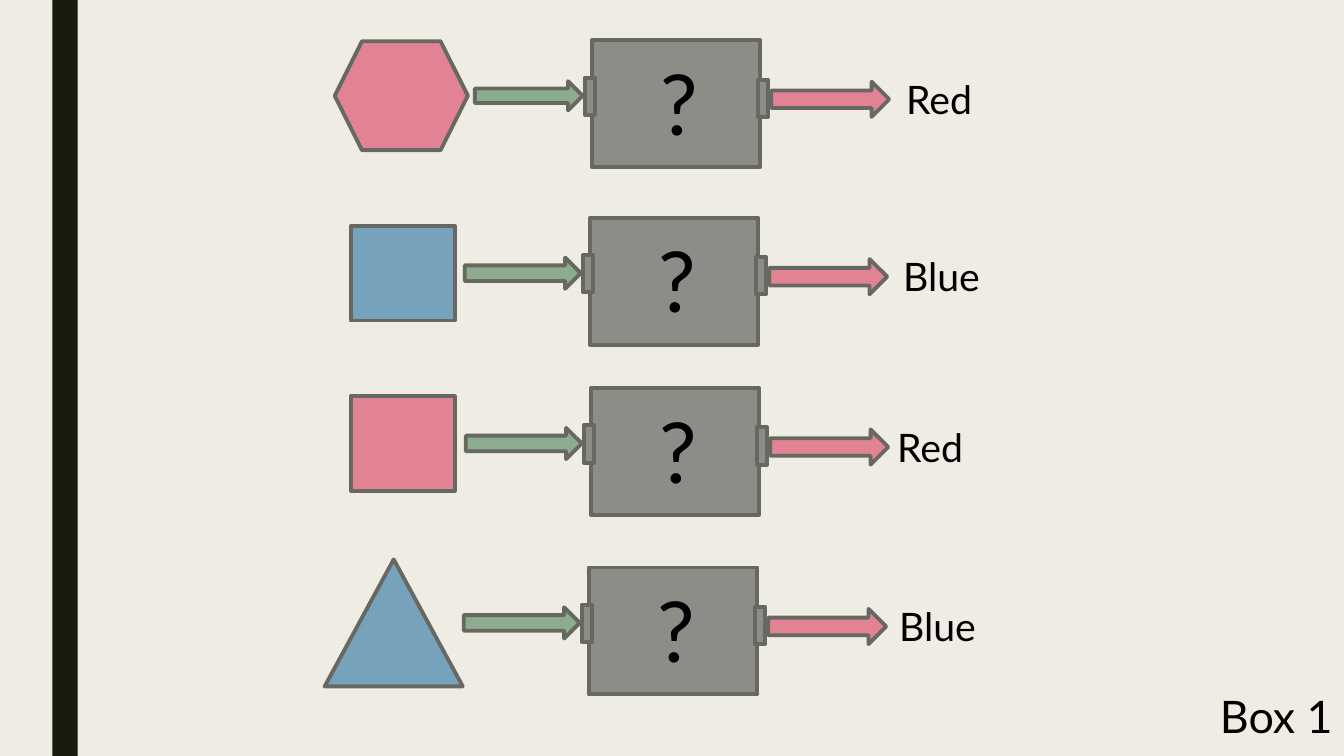
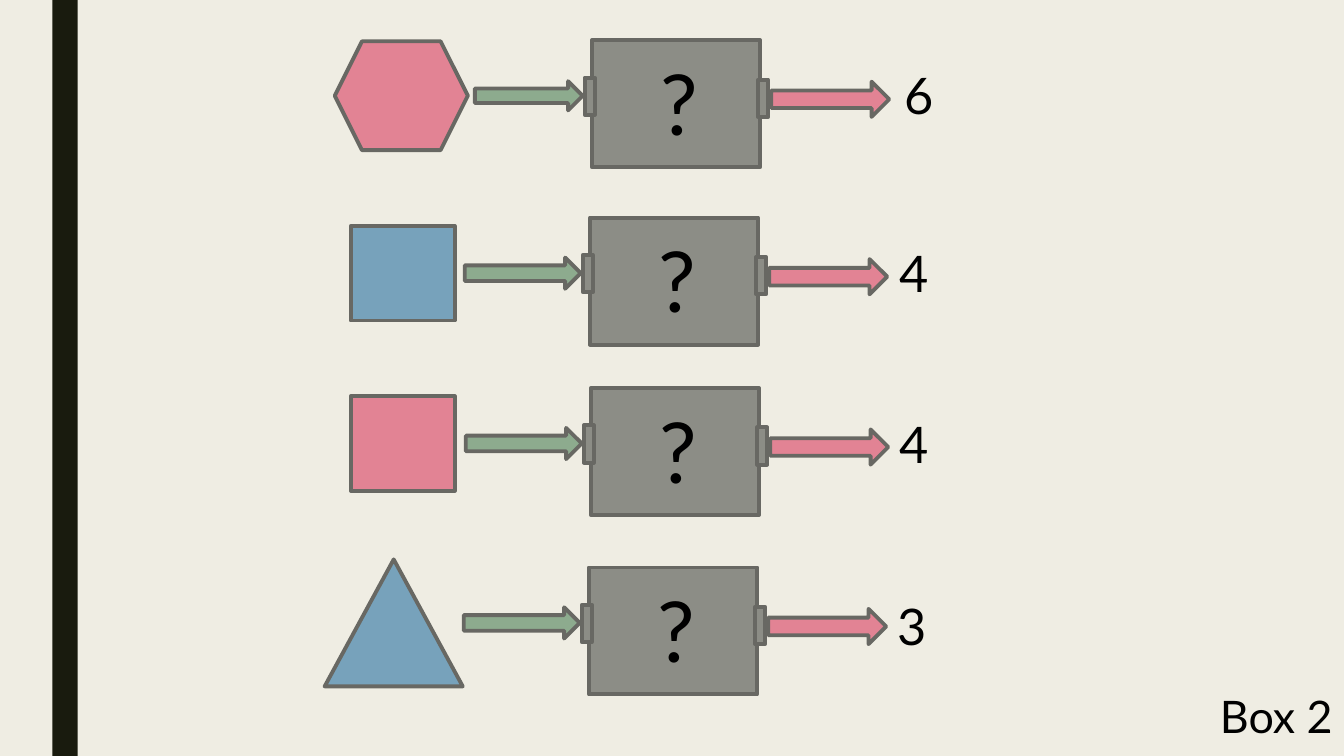
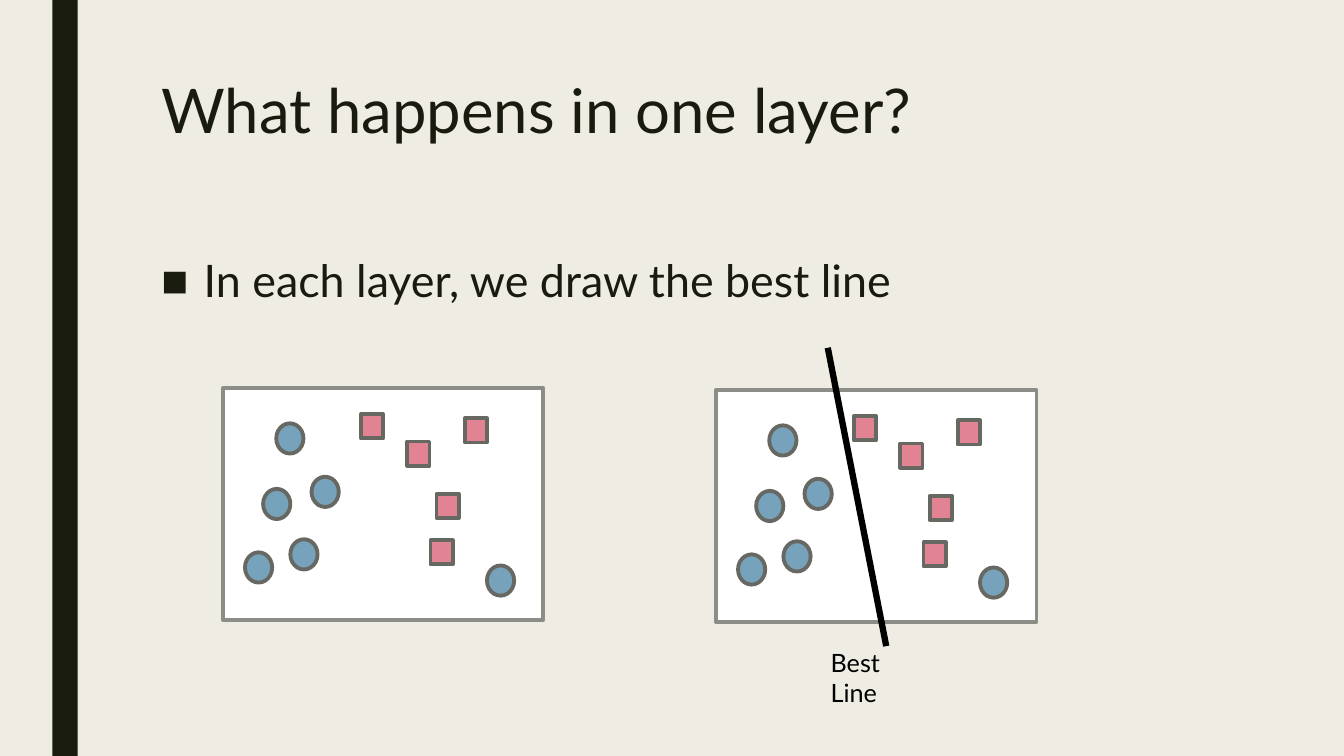
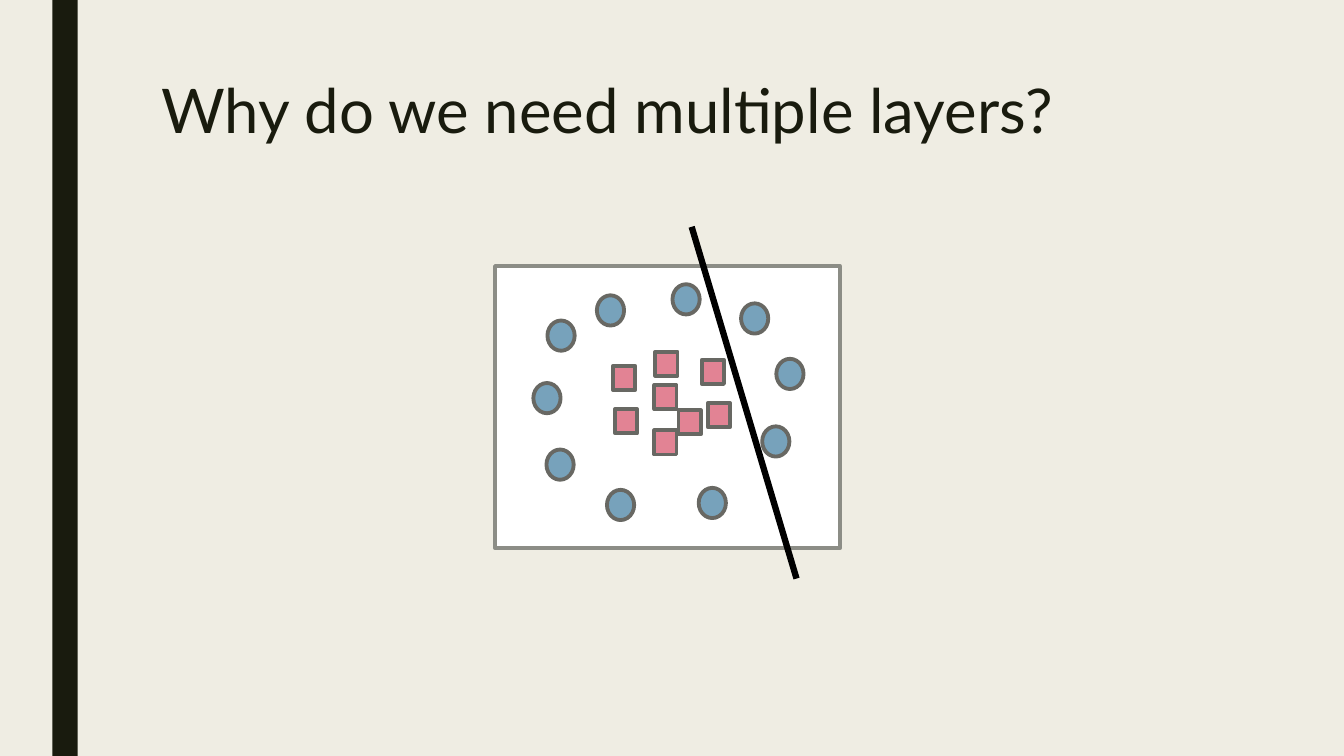
from lxml import etree
from pptx import Presentation
from pptx.dml.color import RGBColor
from pptx.enum.shapes import MSO_CONNECTOR, MSO_SHAPE
from pptx.enum.text import MSO_ANCHOR, MSO_AUTO_SIZE, PP_ALIGN
from pptx.oxml.ns import qn
from pptx.util import Inches, Pt

RECTANGLE = MSO_SHAPE.RECTANGLE
OVAL = MSO_SHAPE.OVAL
HEXAGON = MSO_SHAPE.HEXAGON
TRIANGLE = MSO_SHAPE.ISOSCELES_TRIANGLE
ARROW = MSO_SHAPE.RIGHT_ARROW
STRAIGHT = MSO_CONNECTOR.STRAIGHT
TOP = MSO_ANCHOR.TOP
LEFT = PP_ALIGN.LEFT
FIT_SHAPE, NO_FIT = MSO_AUTO_SIZE.SHAPE_TO_FIT_TEXT, MSO_AUTO_SIZE.NONE

FONT = "Lato"
CREAM, DARK, BLACK, WHITE = "EFEDE3", "191B0E", "000000", "FFFFFF"
GRAY, OUTLINE = "8C8D86", "686863"
RED, BLUE, GREEN = "E28394", "77A2BB", "8DAB8E"

TITLE_ONLY, TITLE_AND_BODY, BLANK = 5, 1, 6

# Each row: input shape, its colour and place; box corner; input arrow size
ROWS = [
    (HEXAGON, RED, (3.32, 0.41, 1.32, 1.08), (5.87, 0.40), (1.07, 0.29)),
    (RECTANGLE, BLUE, (3.48, 2.24, 1.03, 0.94), (5.85, 2.16), (1.15, 0.31)),
    (RECTANGLE, RED, (3.48, 3.93, 1.03, 0.94), (5.86, 3.85), (1.15, 0.31)),
    (TRIANGLE, BLUE, (3.22, 5.55, 1.37, 1.26), (5.84, 5.63), (1.15, 0.31)),
]

# Points measured from the corner of their frame
SPLIT_CIRCLES = [(0.40, 1.00), (0.53, 0.35), (0.67, 1.50), (0.22, 1.63),
                 (2.62, 1.76), (0.88, 0.88)]
SPLIT_SQUARES = [(1.37, 0.26), (1.83, 0.53), (2.40, 0.30), (2.12, 1.05),
                 (2.06, 1.51)]
RING_CIRCLES = [(0.38, 1.16), (0.52, 0.54), (1.11, 2.22), (0.51, 1.82),
                (2.02, 2.20), (1.01, 0.29), (2.65, 1.59), (2.79, 0.92),
                (1.76, 0.18), (2.44, 0.37)]
RING_SQUARES = [(1.58, 1.18), (1.59, 0.85), (2.05, 0.93), (1.82, 1.43),
                (1.19, 1.42), (1.17, 0.99), (2.11, 1.36), (1.58, 1.63)]


def color(value):
    return RGBColor.from_string(value)


class Deck:
    """Shared style and the slide being drawn."""

    def __init__(self):
        self.presentation = Presentation()
        self.presentation.slide_width = Inches(13.33)
        self.presentation.slide_height = Inches(7.5)
        self.master = self.presentation.slide_master
        background = self.master.background.fill
        background.solid()
        background.fore_color.rgb = color(CREAM)
        self.slide = None
        self.shapes = None

    def new_slide(self, layout):
        first = self.slide is None
        layouts = self.presentation.slide_layouts
        self.slide = self.presentation.slides.add_slide(layouts[layout])
        self.shapes = self.slide.shapes
        if first:
            # The side band belongs to the master, behind its placeholders
            band = self.shape(RECTANGLE, (0.52, 0, 0.25, 7.5), DARK, None)
            self.master.shapes._spTree.insert(2, band._element)

    def start_group(self):
        self.shapes = self.slide.shapes.add_group_shape().shapes

    def end_group(self):
        self.shapes = self.slide.shapes

    def shape(self, kind, place, fill, line=OUTLINE):
        shape = self.shapes.add_shape(kind, *map(Inches, place))
        shape.shadow.inherit = False
        shape.fill.solid()
        shape.fill.fore_color.rgb = color(fill)
        if line:
            shape.line.color.rgb = color(line)
            shape.line.width = Pt(2.75)
        else:
            shape.line.fill.background()
        return shape

    def style_font(self, paragraph, size, text_color):
        paragraph.font.name = FONT
        paragraph.font.size = Pt(size)
        paragraph.font.color.rgb = color(text_color)

    def label(self, text, place, size):
        frame = self.shapes.add_textbox(*map(Inches, place)).text_frame
        frame.word_wrap = True
        frame.auto_size = FIT_SHAPE
        frame.text = text
        self.style_font(frame.paragraphs[0], size, BLACK)

    def placeholder(self, index, text, place, size, spacing):
        shape = self.slide.placeholders[index]
        shape.left, shape.top, shape.width, shape.height = map(Inches, place)
        frame = shape.text_frame
        frame.text = text
        frame.vertical_anchor = TOP
        frame.auto_size = NO_FIT
        paragraph = frame.paragraphs[0]
        paragraph.alignment = LEFT
        paragraph.line_spacing = spacing
        self.style_font(paragraph, size, DARK)
        return paragraph

    def title(self, text):
        self.placeholder(0, text, (1.5, 0.75, 10.5, 1.62), 44, 0.89)

    def bullet(self, text):
        paragraph = self.placeholder(1, text, (1.5, 2.5, 10.5, 3.92), 32, 0.94)
        paragraph.space_before = Pt(10)
        paragraph.space_after = Pt(2)
        properties = paragraph._p.get_or_add_pPr()
        properties.set("marL", str(Inches(0.42)))
        properties.set("indent", str(-Inches(0.42)))
        mark = etree.Element(qn("a:buChar"), char="■")
        properties.find(qn("a:defRPr")).addprevious(mark)

    def line(self, start, end):
        connector = self.shapes.add_connector(
            STRAIGHT, *map(Inches, start + end))
        connector.line.color.rgb = color(BLACK)
        connector.line.width = Pt(4.5)
        etree.SubElement(connector._element.spPr, qn("a:effectLst"))

    def mystery_box(self, corner, arrow_size):
        """A box with a port and an arrow on either side."""
        left, top = corner
        length, thickness = arrow_size
        self.start_group()
        self.shape(RECTANGLE, (left, top, 1.67, 1.26), GRAY)
        self.shape(ARROW, (left - 0.09 - length, top + 0.55 - thickness / 2,
                           length, thickness), GREEN)
        self.shape(ARROW, (left + 1.78, top + 0.41, 1.17, 0.35), RED)
        self.label("?", (left + 0.58, top + 0.06, 0.81, 0.75), 60)
        self.shape(RECTANGLE, (left - 0.07, top + 0.37, 0.1, 0.37), GRAY)
        self.shape(RECTANGLE, (left + 1.65, top + 0.39, 0.1, 0.37), GRAY)
        self.end_group()

    def box_slide(self, name, size, answers):
        self.new_slide(BLANK)
        for row, (text, left, top) in zip(ROWS, answers):
            kind, fill, place, corner, arrow_size = row
            self.mystery_box(corner, arrow_size)
            self.shape(kind, place, fill)
            self.label(text, (left, top, 1.1, size / 50), size)
        self.label(name, (12, 6.78, 1.58, 0.64), 32)

    def scatter(self, frame, circles, squares):
        """A white frame with blue circles and red squares."""
        self.shape(RECTANGLE, frame, WHITE, GRAY)
        left, top = frame[:2]
        for kind, fill, width, height, points in (
                (OVAL, BLUE, 0.27, 0.30, circles),
                (RECTANGLE, RED, 0.22, 0.24, squares)):
            for x, y in points:
                self.shape(kind, (left + x, top + y, width, height), fill)


def main():
    deck = Deck()

    # Boxes that name the colour and count the sides
    deck.box_slide("Box 1", 28, [("Red", 8.89, 0.70), ("Blue", 8.86, 2.45),
                                 ("Red", 8.80, 4.15), ("Blue", 8.82, 5.93)])
    deck.box_slide("Box 2", 36, [("6", 8.87, 0.59), ("4", 8.82, 2.35),
                                 ("4", 8.82, 4.05), ("3", 8.80, 5.85)])

    # One layer
    deck.new_slide(TITLE_AND_BODY)
    deck.title("What happens in one layer?")
    deck.bullet("In each layer, we draw the best line")
    for left, top in ((2.21, 3.85), (7.1, 3.87)):
        deck.scatter((left, top, 3.18, 2.3), SPLIT_CIRCLES, SPLIT_SQUARES)
    deck.line((8.21, 3.45), (8.79, 6.41))
    deck.label("Best Line", (8.14, 6.37, 0.9, 0.7), 18)

    # Multiple layers
    deck.new_slide(TITLE_ONLY)
    deck.title("Why do we need multiple layers?")
    deck.scatter((4.91, 2.64, 3.42, 2.8), RING_CIRCLES, RING_SQUARES)
    deck.line((6.86, 2.25), (7.9, 5.74))

    deck.presentation.save("out.pptx")


if __name__ == "__main__":
    main()
